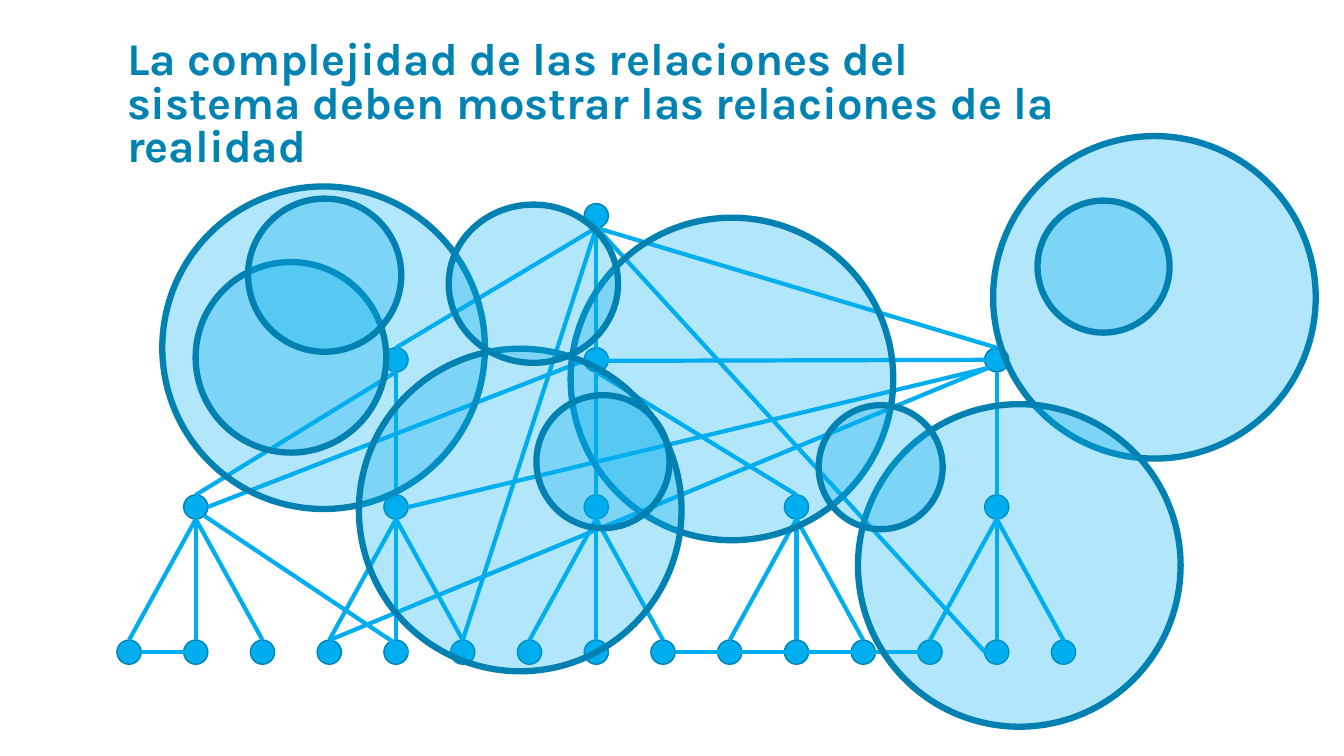
from pptx import Presentation
from pptx import util as u
from pptx.dml.color import RGBColor
from pptx.enum import shapes, text
from pptx.oxml.ns import qn
from lxml import etree

TITLE = "La complejidad de las relaciones del sistema deben mostrar las relaciones de la realidad"
HUES = {"title": "0083B3", "node": "00AEEF", "edge": "0081B1"}
FONT = "Karla"

LEFT, STEP, SIZE = 1.28, 0.662, 0.24
HALF = SIZE / 2
ROWS = {"root": 2.14, "area": 3.57, "group": 5.03, "leaf": 6.47}
COLS = {
    "root": [7],
    "area": [4, 7, 13],
    "group": [1, 4, 7, 10, 13],
    "leaf": list(range(15)),
}
TREE = [
    ("root", 7, "area", 4), ("root", 7, "area", 7), ("root", 7, "area", 13),
    ("area", 4, "group", 1), ("area", 4, "group", 4), ("area", 7, "group", 7),
    ("area", 7, "group", 10), ("area", 13, "group", 13),
    ("root", 7, "leaf", 5),
] + [("group", col, "leaf", col + side) for col in COLS["group"] for side in (-1, 0, 1)]
CROSS = [
    (1.83, 6.47, 1.4, 6.47),
    (5.79, 3.58, 2.06, 5.03),
    (6.69, 6.47, 9.11, 6.47),
    (5.91, 2.25, 9.77, 6.47),
    (6.02, 3.58, 9.77, 3.57),
    (9.8, 3.65, 4.05, 5.03),
    (2.03, 5.12, 4.05, 6.47),
    (9.8, 3.65, 3.27, 6.35),
]
SETS = [
    (1.61, 1.85, 3.2, 3.2),
    (1.94, 2.6, 1.89, 1.89),
    (5.66, 2.16, 3.2, 3.2),
    (9.85, 1.35, 3.2, 3.2),
    (8.51, 4.01, 3.2, 3.2),
    (8.12, 4.02, 1.23, 1.23),
    (2.46, 1.97, 1.52, 1.52),
    (3.56, 3.46, 3.2, 3.2),
    (4.45, 2.03, 1.68, 1.57),
    (10.29, 1.99, 1.31, 1.31),
    (5.32, 3.92, 1.32, 1.32),
]


def hue(name):
    return RGBColor.from_string(HUES[name])


def spot(row, col):
    return LEFT + STEP * col, ROWS[row]


def oval(slide, box, width, alpha=None):
    shape = slide.shapes.add_shape(shapes.MSO_SHAPE.OVAL, *map(u.Inches, box))
    shape.shadow.inherit = False
    shape.fill.solid()
    shape.fill.fore_color.rgb = hue("node")
    shape.line.color.rgb = hue("edge")
    shape.line.width = u.Pt(width)
    if alpha:
        color = shape.fill._xPr.find(qn("a:solidFill")).find(qn("a:srgbClr"))
        etree.SubElement(color, qn("a:alpha"), val=str(alpha * 1000))


def link(slide, ends):
    line = slide.shapes.add_connector(shapes.MSO_CONNECTOR.STRAIGHT, *map(u.Inches, ends))
    line.line.color.rgb = hue("node")
    line.line.width = u.Pt(3)
    etree.SubElement(line._element.spPr, qn("a:effectLst"))


def head(slide):
    title = slide.shapes.title
    title.left, title.top, title.width, title.height = map(u.Inches, (1.16, 0.58, 9.5, 1.17))
    frame = title.text_frame
    frame.word_wrap = True
    frame.auto_size = text.MSO_AUTO_SIZE.NONE
    frame.vertical_anchor = text.MSO_ANCHOR.BOTTOM
    para = frame.paragraphs[0]
    para.alignment = text.PP_ALIGN.LEFT
    para.line_spacing = 0.8
    run = para.add_run()
    run.text = TITLE
    run.font.name = FONT
    run.font.size = u.Pt(32.4)
    run.font.bold = True
    run.font.color.rgb = hue("title")


def main():
    deck = Presentation()
    deck.slide_width, deck.slide_height = u.Inches(13.33), u.Inches(7.5)
    slide = deck.slides.add_slide(deck.slide_layouts[5])
    head(slide)
    for row, cols in COLS.items():
        for col in cols:
            x, y = spot(row, col)
            oval(slide, (x - HALF, y - HALF, SIZE, SIZE), 1)
    for high, start, low, end in TREE:
        x1, y1 = spot(high, start)
        x2, y2 = spot(low, end)
        link(slide, (x2, y2 - HALF, x1, y1 + HALF))
    for ends in CROSS:
        link(slide, ends)
    for box in SETS:
        oval(slide, box, 4.5, 30)
    deck.save("out.pptx")


if __name__ == "__main__":
    main()
